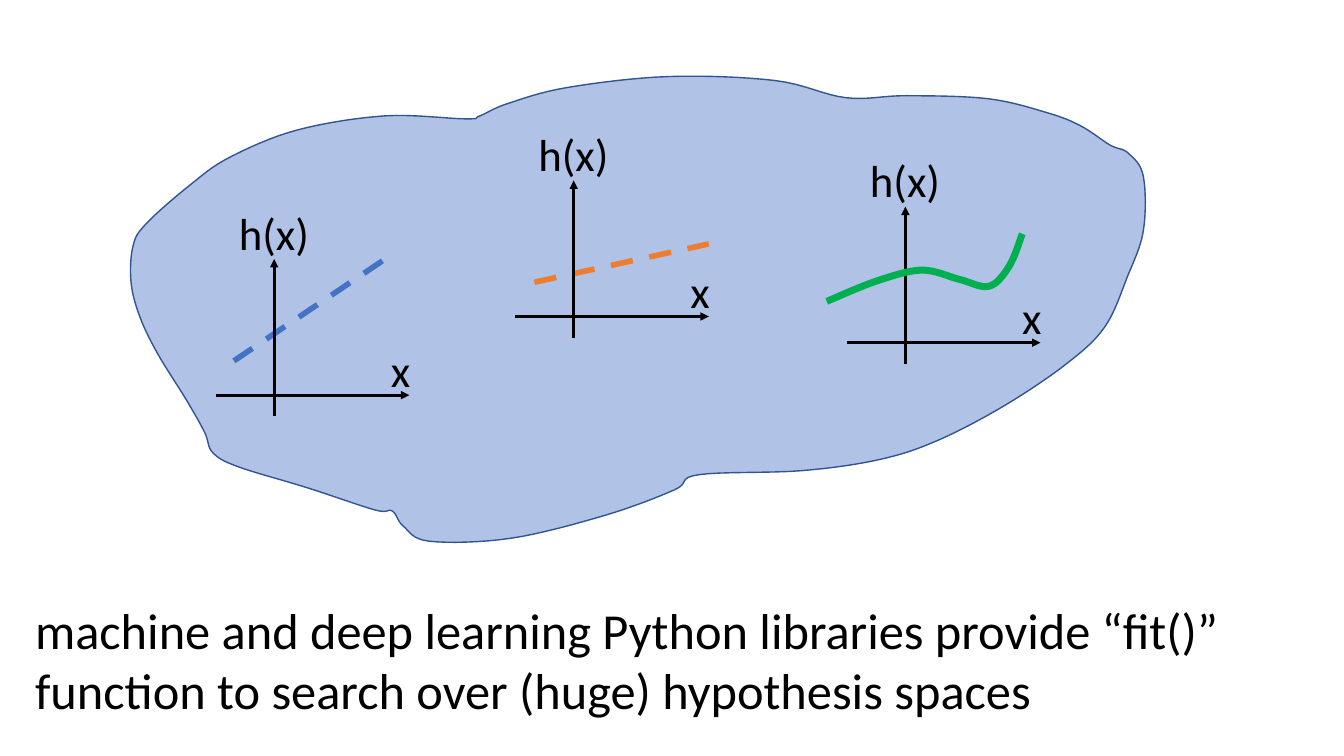
from lxml import etree
from pptx import Presentation
from pptx.dml.color import RGBColor
from pptx.enum.dml import MSO_LINE
from pptx.enum.shapes import MSO_CONNECTOR
from pptx.enum.text import MSO_AUTO_SIZE
from pptx.oxml.ns import qn
from pptx.util import Inches, Pt

DASH = MSO_LINE.DASH
STRAIGHT = MSO_CONNECTOR.STRAIGHT
FIT = MSO_AUTO_SIZE.SHAPE_TO_FIT_TEXT
FONT = "Calibri"
BLACK, BLUE, NAVY, ORANGE, GREEN = "000000", "4472C4", "325491", "ED7D31", "00B050"

CLOUD = [
    (0.73, 3.53), (0.55, 3.21), (0.27, 2.76), (0.09, 2.39), (0, 2.04),
    (0.02, 1.68), (0.15, 1.46), (0.58, 1.08), (0.98, 0.8), (1.65, 0.53),
    (2.52, 0.39), (3.32, 0.42), (3.46, 0.39), (3.73, 0.27), (4.32, 0.11),
    (5.33, 0), (6.39, 0.04), (7.09, 0.21), (7.69, 0.19), (8.5, 0.22),
    (9.09, 0.36), (9.42, 0.49), (9.71, 0.68), (9.89, 0.76), (10.04, 0.99),
    (10.04, 1.53), (9.88, 1.99), (9.66, 2.48), (9.29, 2.84), (8.67, 3.26),
    (8, 3.61), (7.42, 3.8), (6.65, 3.91), (5.63, 3.95), (5.39, 4.1),
    (4.71, 4.35), (3.77, 4.58), (2.96, 4.61), (2.7, 4.46), (2.59, 4.31),
    (2.42, 4.3), (1.75, 4.08), (1.06, 3.87), (0.81, 3.73),
]
WAVE = [
    (-0.2, 1.52), (0.29, 1.32), (0.74, 1.21), (1.11, 1.3),
    (1.41, 1.37), (1.61, 1.17), (1.74, 0.85),
]


def color(code):
    return RGBColor.from_string(code)


def blend(a, b, c, d, t):
    return b + t * (c - a + t * (2 * a - 5 * b + 4 * c - d + t * (3 * (b - c) + d - a))) / 2


def smooth(pts, closed, steps=8):
    if closed:
        ring = [pts[-1], *pts, *pts[:2]]
    else:
        ring = [pts[0], *pts, pts[-1]]
    curve = [pts[0]]
    for four in zip(ring, ring[1:], ring[2:], ring[3:]):
        xs, ys = zip(*four)
        curve += [(blend(*xs, k / steps), blend(*ys, k / steps))
                  for k in range(1, steps + 1)]
    return curve


def outline(slide, left, top, pts, closed, ink, width):
    ends = [(Inches(left + x), Inches(top + y)) for x, y in smooth(pts, closed)]
    path = slide.shapes.build_freeform(*ends[0])
    path.add_line_segments(ends[1:], close=closed)
    shape = path.convert_to_shape()
    shape.shadow.inherit = False
    shape.line.color.rgb = color(ink)
    shape.line.width = Pt(width)
    return shape


def cloud(slide, left, top):
    shape = outline(slide, left, top, CLOUD, True, NAVY, 1)
    shape.fill.solid()
    shape.fill.fore_color.rgb = color(BLUE)
    tint = shape.fill._xPr.find(qn("a:solidFill"))[0]
    etree.SubElement(tint, qn("a:alpha"), val="42000")


def label(shapes, left, top, width, height, lines, size):
    box = shapes.add_textbox(Inches(left), Inches(top), Inches(width), Inches(height))
    frame = box.text_frame
    frame.text = "\n".join(lines)
    frame.word_wrap = False
    frame.auto_size = FIT
    for para in frame.paragraphs:
        for run in para.runs:
            run.font.name = FONT
            run.font.size = Pt(size)
            run.font.color.rgb = color(BLACK)


def stroke(shapes, start, end, ink, width):
    line = shapes.add_connector(STRAIGHT, *[Inches(v) for v in (*start, *end)])
    line.line.color.rgb = color(ink)
    line.line.width = Pt(width)
    etree.SubElement(line._element.spPr, qn("a:effectLst"))
    return line


def arrow(shapes, start, end):
    line = stroke(shapes, start, end, BLACK, 2)
    etree.SubElement(line.line._get_or_add_ln(), qn("a:tailEnd"), type="triangle")


def plot(slide, left, top, trend=None, ink=None):
    shapes = slide.shapes.add_group_shape().shapes
    if trend:
        start, end = [(left + x, top + y) for x, y in trend]
        stroke(shapes, start, end, ink, 4).line.dash_style = DASH
    arrow(shapes, (left + 0.58, top + 2.14), (left + 0.58, top + 0.58))
    arrow(shapes, (left, top + 1.93), (left + 1.92, top + 1.93))
    label(shapes, left + 1.64, top + 1.36, 0.4, 0.64, ["x"], 32)
    label(shapes, left + 0.13, top, 0.91, 0.64, ["h(x)"], 32)


def wave(slide, left, top):
    outline(slide, left, top, WAVE, False, GREEN, 5).fill.background()


def main():
    deck = Presentation()
    deck.slide_width, deck.slide_height = Inches(13.33), Inches(7.5)
    slide = deck.slides.add_slide(deck.slide_layouts[6])
    cloud(slide, 1.3, 0.76)
    label(slide.shapes, 0.25, 5.89, 12.16, 1.31, [
        "machine and deep learning Python libraries provide “fit()”",
        "function to search over (huge) hypothesis spaces",
    ], 36)
    plot(slide, 2.14, 1.99, [(0.18, 1.59), (1.68, 0.58)], BLUE)
    plot(slide, 5.11, 1.21, [(0.19, 1.59), (1.92, 1.21)], ORANGE)
    plot(slide, 8.4, 1.47)
    wave(slide, 8.4, 1.47)
    deck.save("out.pptx")


if __name__ == "__main__":
    main()
